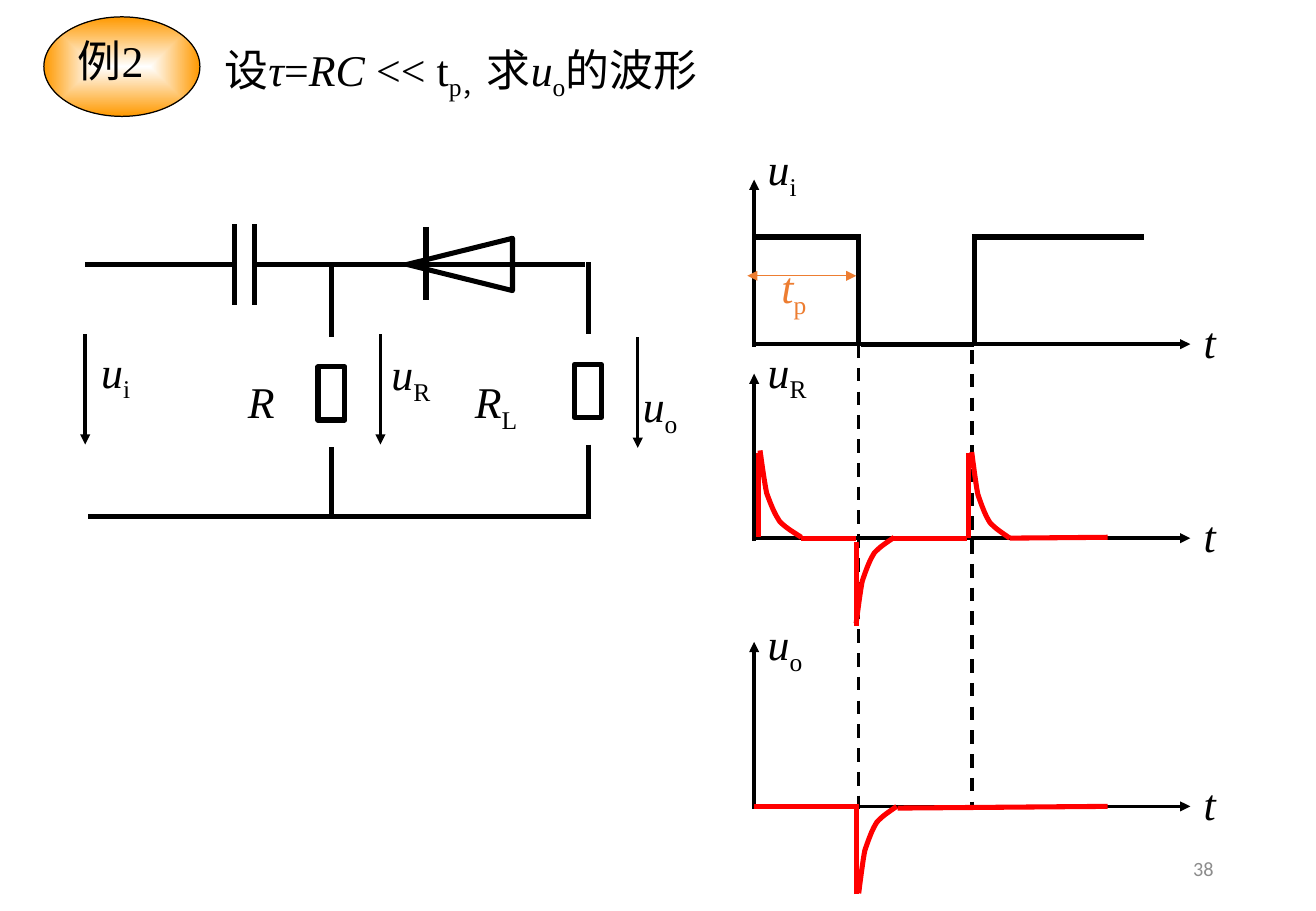
from lxml.etree import SubElement
from pptx import Presentation
from pptx.dml.color import RGBColor
from pptx.enum.dml import MSO_LINE
from pptx.enum.shapes import MSO_CONNECTOR, MSO_SHAPE
from pptx.enum.text import MSO_ANCHOR, MSO_AUTO_SIZE, PP_ALIGN
from pptx.oxml.ns import qn
from pptx.util import Pt

COLORS = {
    "black": "000000",
    "red": "FF0000",
    "orange": "ED7D31",
    "badge_center": "FFFFFF",
    "badge_edge": "FF9900",
    "gray": "8C8C8C",
}

presentation = Presentation()
presentation.slide_width = Pt(780)
presentation.slide_height = Pt(540)
slide = presentation.slides.add_slide(presentation.slide_layouts[6])
shapes = slide.shapes


def draw_line(x1, y1, x2, y2, width=3, color="black", arrows=(), dashed=False):
    """Draw a straight line; arrows names the ends (headEnd, tailEnd) with an arrowhead."""
    connector = shapes.add_connector(MSO_CONNECTOR.STRAIGHT, Pt(x1), Pt(y1), Pt(x2), Pt(y2))
    connector.line.width = Pt(width)
    connector.line.color.rgb = RGBColor.from_string(COLORS[color])
    if dashed:
        connector.line.dash_style = MSO_LINE.DASH
    properties = connector._element.spPr
    for end in arrows:
        SubElement(properties.find(qn("a:ln")), qn(f"a:{end}"), type="triangle")
    SubElement(properties, qn("a:effectLst"))


def add_text(left, top, width, height, runs, color="black", inset=8.0,
             size=26, font="Times New Roman"):
    """Add a text box; each run is (text, style), style being "", "italic" or "sub"."""
    box = shapes.add_textbox(Pt(left), Pt(top), Pt(width), Pt(height))
    frame = box.text_frame
    frame.word_wrap = True
    frame.auto_size = MSO_AUTO_SIZE.SHAPE_TO_FIT_TEXT
    frame.margin_left = frame.margin_right = Pt(inset)
    frame.margin_top = frame.margin_bottom = Pt(inset / 2)
    paragraph = frame.paragraphs[0]
    spacing = SubElement(paragraph._p.get_or_add_pPr(), qn("a:spcBef"))
    SubElement(spacing, qn("a:spcPct"), val="50000")
    for text, style in runs:
        run = paragraph.add_run()
        run.text = text
        run.font.size = Pt(size)
        run.font.name = font
        run.font.italic = style == "italic"
        run.font.color.rgb = RGBColor.from_string(COLORS[color])
        if style == "sub":
            run._r.get_or_add_rPr().set("baseline", "-25000")
    return box


# Circuit: wires, capacitor plates and diode bar
for wire in [
    (50.5, 157, 139, 157), (139, 133, 139, 181),
    (151, 133, 151, 181), (151, 157, 347, 157),
    (196.5, 157, 196.5, 200), (196.5, 265, 196.5, 307.5),
    (252.5, 134.5, 252.5, 178), (225.5, 157, 323.5, 157),
    (349, 155.5, 349, 198), (349, 263.5, 349, 306),
    (350.5, 306, 52, 306),
]:
    draw_line(*wire)

# Two resistors and the diode triangle
for kind, left, top, width, height, rotation in [
    (MSO_SHAPE.RECTANGLE, 188.5, 217.5, 16, 31.5, 0),
    (MSO_SHAPE.RECTANGLE, 340.5, 216, 16, 31.5, 0),
    (MSO_SHAPE.ISOSCELES_TRIANGLE, 257, 125.5, 31, 62.5, 270),
]:
    part = shapes.add_shape(kind, Pt(left), Pt(top), Pt(width), Pt(height))
    part.rotation = rotation
    part.shadow.inherit = False
    part.fill.background()
    part.line.width = Pt(3)
    part.line.color.rgb = RGBColor.from_string(COLORS["black"])

# Voltage arrows
for x, top in [(50.5, 198), (225.5, 198), (378, 200)]:
    draw_line(x, top, x, top + 65.5, width=2, arrows=["tailEnd"])

for left, top, width, symbol, subscript in [
    (139, 218, 50, "R", ""), (273.5, 218, 67.5, "R", "L"),
    (52, 200, 69, "u", "i"), (224, 201.5, 69, "u", "R"), (373, 220.5, 69, "u", "o"),
]:
    runs = [(symbol, "italic")] + ([(subscript, "sub")] if subscript else [])
    add_text(left, top, width, 39.5, runs)

# Axes of the three waveforms
AXIS_LEFT, AXIS_RIGHT = 447, 705.5
for axis_y, label_top, subscript in [(204, 80, "i"), (319, 200, "R"), (478, 361.5, "o")]:
    draw_line(AXIS_LEFT, axis_y + 1.5, AXIS_LEFT, axis_y - 97.5, width=2, arrows=["tailEnd"])
    draw_line(AXIS_LEFT, axis_y, AXIS_RIGHT, axis_y, width=2, arrows=["tailEnd"])
    add_text(AXIS_RIGHT, axis_y - 21.5, 36, 39.5, [("t", "italic")])
    add_text(AXIS_LEFT, label_top, 86.5, 39.5, [("u", "italic"), (subscript, "sub")])

# Square input wave
for edge in [
    (447, 140.5, 510.5, 140.5), (509, 140.5, 509, 204), (510.5, 204, 577.5, 204),
    (577.5, 204, 577.5, 140.5), (576, 140.5, 678, 140.5),
]:
    draw_line(*edge)

for x, top, bottom in [(509, 204, 480), (576, 207.5, 478)]:
    draw_line(x, top, x, bottom, width=2, dashed=True)

# Straight parts of the output and resistor waves
for segment in [
    (507.5, 530, 507.5, 479.5), (447, 478, 509, 478), (532, 479, 656.5, 478),
    (475, 319, 507.5, 319), (507.5, 321, 507.5, 371), (528.5, 319, 573, 319),
    (598.5, 319, 656.5, 318.5), (574, 268.5, 574, 319), (449.5, 268.5, 449.5, 318.5),
]:
    draw_line(*segment, color="red")

# Decay curve in a unit square: cubic segments from the axis (1, 1) to the peak (0, 0)
DECAY = [
    [(1, 1), (0.81, 0.94), (0.65, 0.9), (0.48, 0.82)],
    [(0.48, 0.82), (0.35, 0.73), (0.26, 0.62), (0.16, 0.49)],
    [(0.16, 0.49), (0.1, 0.35), (0.03, 0.1), (0, 0)],
]
STEPS = 10
unit_points = [(1, 1)]
for controls in DECAY:
    for step in range(1, STEPS + 1):
        t = step / STEPS
        weights = [(1 - t) ** 3, 3 * t * (1 - t) ** 2, 3 * t ** 2 * (1 - t), t ** 3]
        unit_points.append(tuple(
            sum(weight * point[axis] for weight, point in zip(weights, controls))
            for axis in (0, 1)
        ))

for left, width, axis_y, peak_y in [
    (509, 22.5, 478, 529.5), (507.5, 22.5, 318.5, 369.5),
    (576, 22.5, 319, 268), (450.5, 24.5, 318.5, 267),
]:
    points = [(Pt(left + x * width), Pt(peak_y + y * (axis_y - peak_y))) for x, y in unit_points]
    builder = shapes.build_freeform(*points[0])
    builder.add_line_segments(points[1:], close=False)
    curve = builder.convert_to_shape()
    curve.shadow.inherit = False
    curve.fill.background()
    curve.line.width = Pt(3)
    curve.line.color.rgb = RGBColor.from_string(COLORS["red"])

# Pulse width
draw_line(443, 163.5, 507.5, 163.5, width=0.75, color="orange", arrows=["headEnd", "tailEnd"])
add_text(456, 150.5, 45.5, 39, [("t", "italic"), ("p", "sub")], color="orange", inset=7.2)

# Heading with its badge
add_text(126, 21.5, 468, 39, [
    ("设", ""), ("τ", "italic"), ("=", ""), ("RC ", "italic"), ("<< t", ""), ("p，", "sub"),
    ("求", ""), ("u", "italic"), ("o", "sub"), ("的波形", ""),
], inset=7.2)

badge = shapes.add_shape(MSO_SHAPE.OVAL, Pt(26), Pt(10), Pt(92.5), Pt(59))
badge.shadow.inherit = False
badge.line.width = Pt(0.75)
badge.line.color.rgb = RGBColor.from_string(COLORS["black"])
badge.fill.gradient()
for stop, name in zip(badge.fill.gradient_stops, ["badge_center", "badge_edge"]):
    stop.color.rgb = RGBColor.from_string(COLORS[name])
gradient = badge._element.spPr.find(qn("a:gradFill"))
gradient.remove(gradient.find(qn("a:lin")))
radial = SubElement(gradient, qn("a:path"), {"path": "shape"})
SubElement(radial, qn("a:fillToRect"), l="50000", t="50000", r="50000", b="50000")
add_text(39, 16.5, 65, 39, [("例2", "")], inset=7.2)

slide_number = add_text(551, 500.5, 175.5, 28.5, [("38", "")], color="gray", inset=7.2,
                        size=12, font="Calibri")
slide_number.text_frame.auto_size = MSO_AUTO_SIZE.NONE
slide_number.text_frame.vertical_anchor = MSO_ANCHOR.MIDDLE
number_paragraph = slide_number.text_frame.paragraphs[0]
number_paragraph.alignment = PP_ALIGN.RIGHT
number_paragraph.space_before = Pt(0)

presentation.save("out.pptx")
